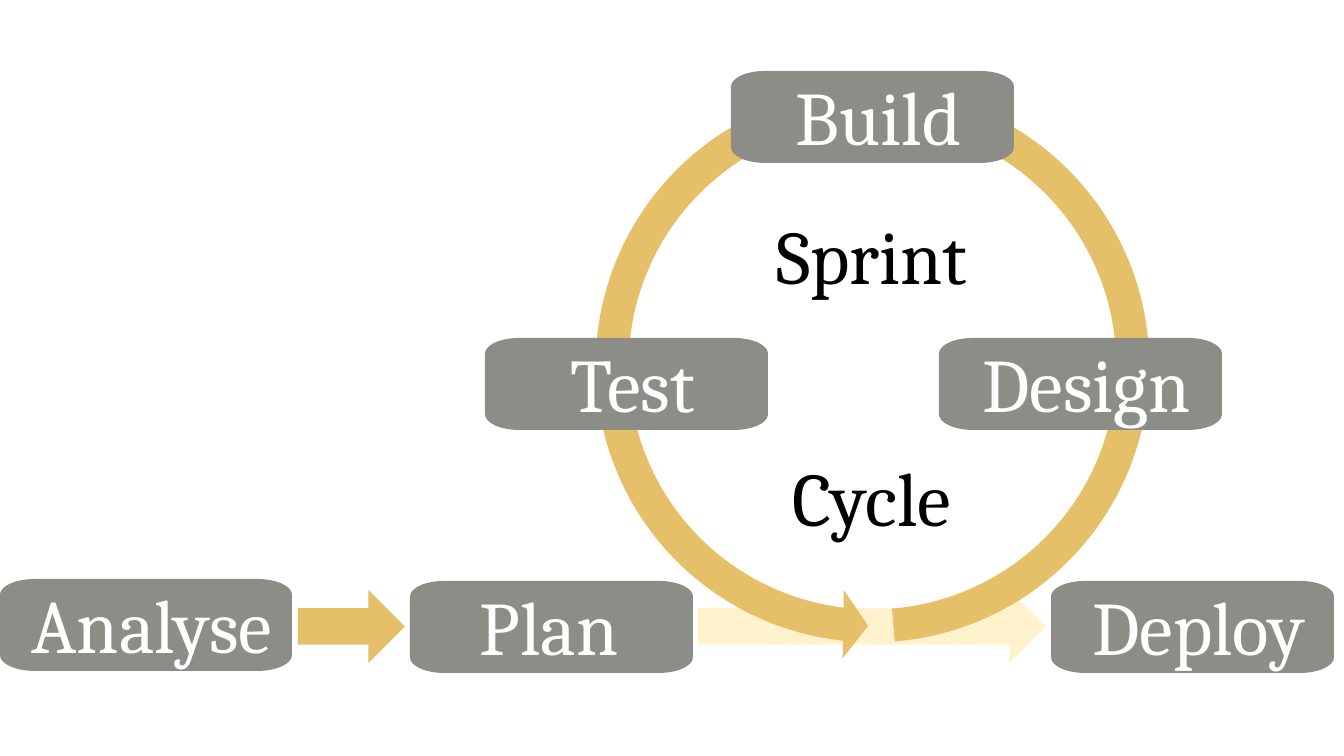
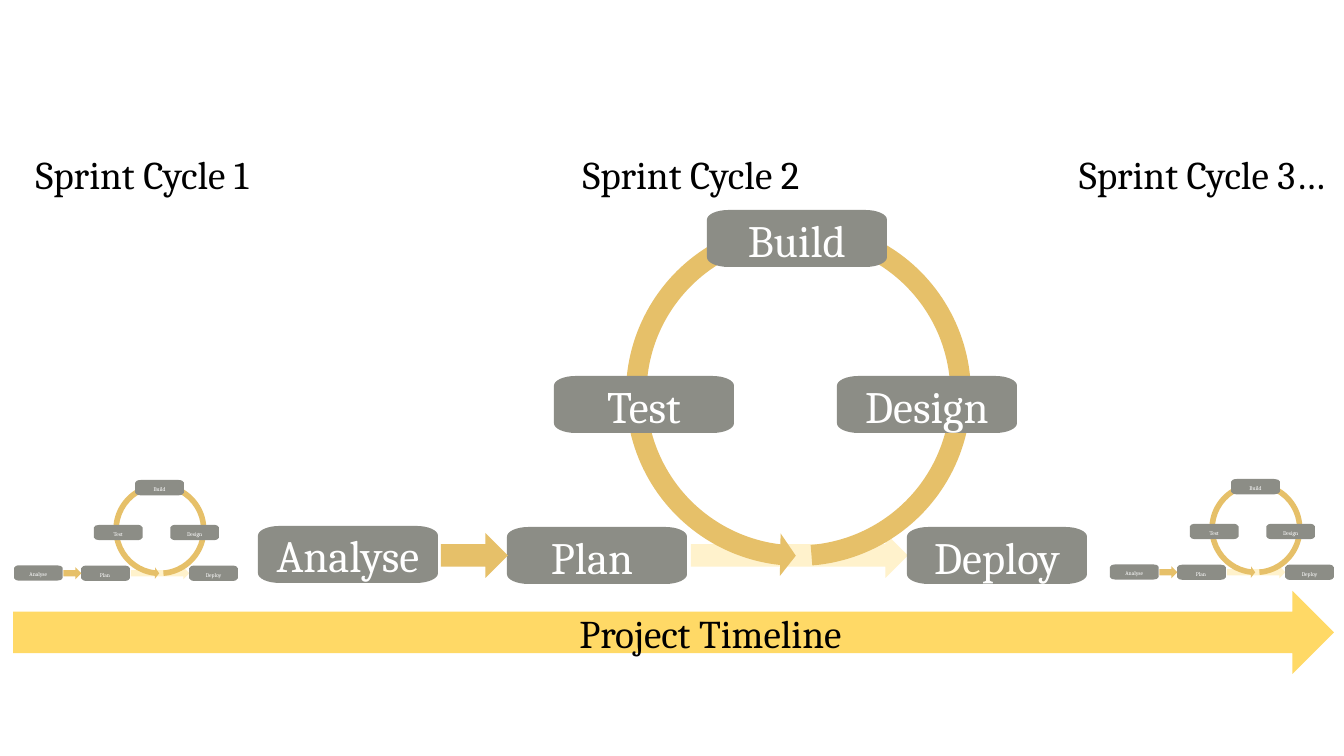
from lxml import etree
from pptx import Presentation
from pptx.dml.color import RGBColor
from pptx.enum.shapes import MSO_SHAPE
from pptx.enum.text import MSO_ANCHOR, PP_ALIGN
from pptx.oxml.ns import qn
from pptx.util import Pt

ARROW, RING = MSO_SHAPE.RIGHT_ARROW, MSO_SHAPE.CIRCULAR_ARROW
CENTER, MIDDLE = PP_ALIGN.CENTER, MSO_ANCHOR.MIDDLE

GREY = RGBColor(0x8C, 0x8D, 0x86)
GOLD = RGBColor(0xE6, 0xC0, 0x69)
CREAM = RGBColor(0xFF, 0xF2, 0xCC)
YELLOW = RGBColor(0xFF, 0xD9, 0x66)
WHITE = RGBColor(0xFF, 0xFF, 0xFF)
BLACK = RGBColor(0, 0, 0)
FONT = "Cambria"

WIDE, HIGH = 1344, 756
PX = 12192000 / WIDE

# Positions are measured from the left of "Analyse" and the top of the ring.
LARGE = {
    "boxes": [
        ("Analyse", 0, 508, 292, 92),
        ("Plan ", 410, 510, 283, 92),
        ("Design", 939, 267, 283, 92),
        ("Build", 731, 0, 283, 92),
        ("Test", 485, 267, 283, 92),
        ("Deploy", 1051, 510, 283, 92),
    ],
    "pale": (698, 519, 348, 73),
    "ring": (578, 0, 589, 589),
    "gold": (298, 519, 107, 73),
}
MEDIUM = {
    "boxes": [
        ("Analyse", 0, 316, 180, 57),
        ("Plan ", 249, 317, 180, 57),
        ("Design", 579, 166, 180, 57),
        ("Build", 449, 0, 180, 57),
        ("Test", 296, 166, 180, 57),
        ("Deploy", 649, 317, 180, 57),
    ],
    "pale": (433, 323, 217, 45),
    "ring": (357, 0, 367, 367),
    "gold": (183, 323, 67, 45),
}
RING_ADJ = (5.6, 330.7, 14367, 15030.3, 5.8)  # percent
RING_TURN = 335.9

# left, top, scale, text size, top inset
SPRINTS = [
    (258, 210, 1, 32, 20),
    (14, 480, 0.27, 4, 16),
    (1110, 479, 0.27, 4, 16),
]
TIMELINE = (13, 591, 1321, 83)
LABELS = [
    ("Project Timeline", 541, 593, 339),
    ("Sprint Cycle 2", 535, 134, 312),
    ("Sprint Cycle 1", -14, 134, 312),
    ("Sprint Cycle 3…", 1046, 134, 312),
]


def emu(*values):
    return [round(v * PX) for v in values]


def paint(shape, color):
    shape.shadow.inherit = False
    shape.fill.solid()
    shape.fill.fore_color.rgb = color
    shape.line.fill.background()
    return shape


def add_solid(shapes, kind, area, color):
    return paint(shapes.add_shape(kind, *emu(*area)), color)


def write(frame, lines, size, color, insets):
    """Fill a text frame with centred lines; insets are left, top, right, bottom."""
    (frame.margin_left, frame.margin_top,
     frame.margin_right, frame.margin_bottom) = emu(*insets)
    frame.text = "\n".join(lines)
    for para in frame.paragraphs:
        para.alignment = CENTER
        for run in para.runs:
            run.font.name = FONT
            run.font.size = Pt(size)
            run.font.color.rgb = color


def bend(shape):
    """Turn every second edge of an outline into a quarter ellipse."""
    path = next(shape.element.iter(qn("a:path")))
    nodes = list(path.iter(qn("a:pt")))
    spots = [(int(n.get("x")), int(n.get("y"))) for n in nodes]
    for i in range(1, len(spots), 2):
        start, end = spots[i - 1], spots[i]
        tip = (start[0], end[1]) if i % 4 == 1 else (end[0], start[1])
        edge = nodes[i].getparent()
        curve = etree.Element(qn("a:cubicBezTo"))
        for x, y in (start, end):
            etree.SubElement(curve, qn("a:pt"),
                             x=str(round(x + 0.55 * (tip[0] - x))),
                             y=str(round(y + 0.55 * (tip[1] - y))))
        curve.append(nodes[i])
        path.replace(edge, curve)


def add_box(shapes, area):
    """Draw a box whose corners are wider than high."""
    x, y, w, h = area
    rx, ry = 0.12 * w, 0.17 * h
    right, low = x + w, y + h
    outline = [(x, y + ry), (x + rx, y), (right - rx, y), (right, y + ry),
               (right, low - ry), (right - rx, low), (x + rx, low), (x, low - ry)]
    points = [emu(*spot) for spot in outline]
    path = shapes.build_freeform(*points[0])
    path.add_line_segments(points[1:], close=False)
    path.add_line_segments([points[0]], close=True)
    box = paint(path.convert_to_shape(), GREY)
    bend(box)
    return box


def add_cycle(slide, plan, left, top, scale, size, insets):
    shapes = slide.shapes.add_group_shape().shapes

    def place(x, y, w, h):
        return left + x * scale, top + y * scale, w * scale, h * scale

    add_solid(shapes, ARROW, place(*plan["pale"]), CREAM)
    ring = add_solid(shapes, RING, place(*plan["ring"]), GOLD)
    for index, value in enumerate(RING_ADJ):
        ring.adjustments[index] = value / 100
    ring.rotation = RING_TURN
    ring.element.spPr.xfrm.set("flipV", "1")
    for name, *area in plan["boxes"]:
        frame = add_box(shapes, place(*area)).text_frame
        write(frame, [name], size, WHITE, insets)
        frame.word_wrap = True
        frame.vertical_anchor = MIDDLE
        frame.paragraphs[0].line_spacing = 0.9
    add_solid(shapes, ARROW, place(*plan["gold"]), GOLD)


def add_label(slide, lines, area, size, insets):
    frame = slide.shapes.add_textbox(*emu(*area)).text_frame
    frame.word_wrap = True
    write(frame, lines, size, BLACK, insets)
    return frame


def build_sprint(slide):
    add_cycle(slide, LARGE, 0, 71, 1, 54, (12, 20, 0, 12))
    frame = add_label(slide, ["Sprint", "Cycle"], (758, 204, 228, 346),
                      54, (10, 5, 10, 5))
    frame.word_wrap = False
    frame.paragraphs[1].space_before = Pt(108)


def build_project(slide):
    for left, top, scale, size, inset in SPRINTS:
        add_cycle(slide, MEDIUM, left, top, scale, size, (12, inset, 12, 12))
    add_solid(slide.shapes, ARROW, TIMELINE, YELLOW)
    for text, left, top, width in LABELS:
        add_label(slide, [text], (left, top, width, 68), 28, (10, 16, 10, 5))


def main():
    deck = Presentation()
    deck.slide_width, deck.slide_height = emu(WIDE, HIGH)
    blank = deck.slide_layouts.get_by_name("Blank")
    for build in (build_sprint, build_project):
        build(deck.slides.add_slide(blank))
    deck.save("out.pptx")


if __name__ == "__main__":
    main()
